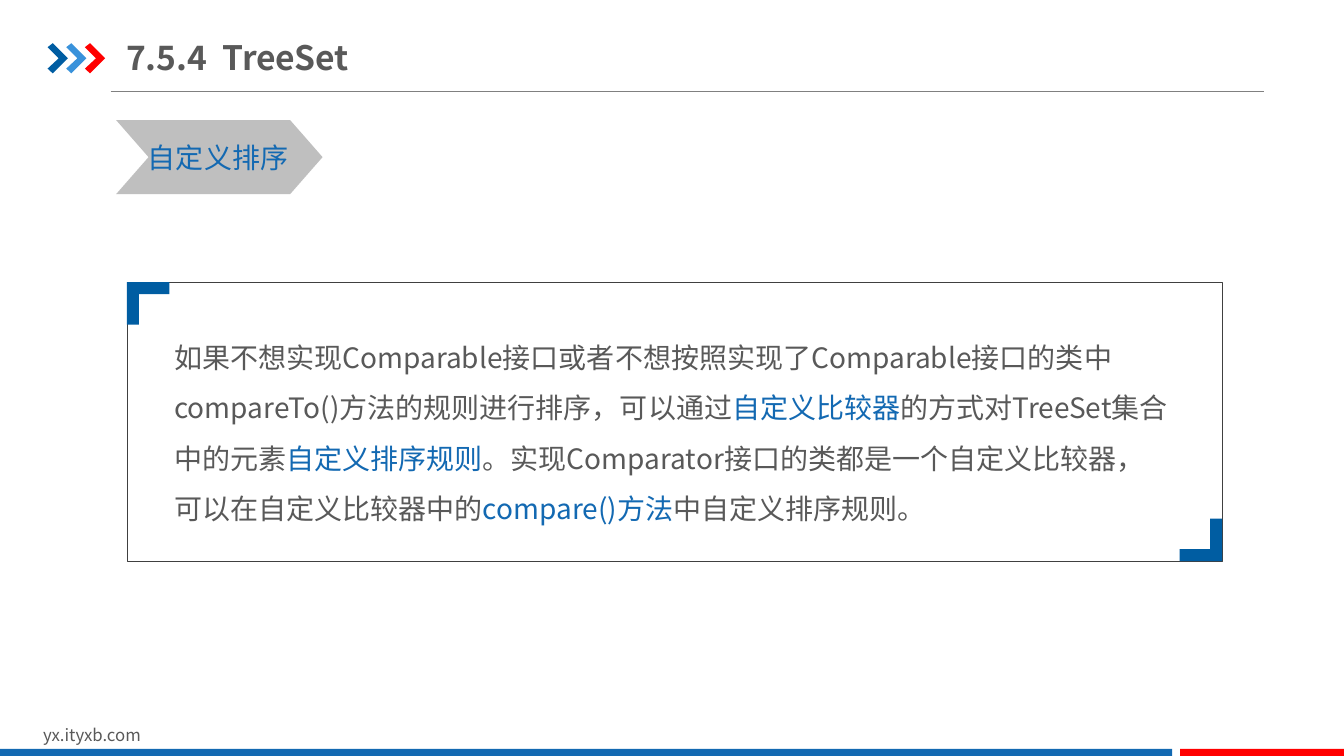
from lxml.etree import SubElement
from pptx import Presentation
from pptx.dml.color import RGBColor
from pptx.enum.shapes import MSO_CONNECTOR, MSO_SHAPE
from pptx.enum.text import MSO_ANCHOR, PP_ALIGN
from pptx.oxml.ns import qn
from pptx.util import Cm, Pt

DEEP_BLUE = RGBColor(0x00, 0x5D, 0xA2)
SKY_BLUE = RGBColor(0x39, 0x92, 0xDB)
BLUE = RGBColor(0x13, 0x69, 0xB2)
RED = RGBColor(0xFF, 0x00, 0x00)
TEXT_GRAY = RGBColor(0x59, 0x59, 0x59)
RULE_GRAY = RGBColor(0x80, 0x80, 0x80)
TAG_GRAY = RGBColor(0xBF, 0xBF, 0xBF)
FRAME_GRAY = RGBColor(0x40, 0x40, 0x40)


class SlideBuilder:
    FONT = "Noto Sans CJK SC"

    def __init__(self, slide):
        self.slide = slide
        self.shapes = slide.shapes

    def paint(self, shape, fill=None, line=None, width=0.25):
        shape.shadow.inherit = False
        if fill is None:
            shape.fill.background()
        else:
            shape.fill.solid()
            shape.fill.fore_color.rgb = fill
        if line is None:
            shape.line.fill.background()
        else:
            shape.line.color.rgb = line
            shape.line.width = Pt(width)
        return shape

    def shape(self, kind, left, top, width, height, **style):
        box = [Cm(v) for v in (left, top, width, height)]
        return self.paint(self.shapes.add_shape(kind, *box), **style)

    def outline(self, points, fill):
        corners = [(Cm(x), Cm(y)) for x, y in points]
        builder = self.shapes.build_freeform(*corners[0])
        builder.add_line_segments(corners[1:], close=True)
        return self.paint(builder.convert_to_shape(), fill)

    def rule(self, x1, y1, x2, y2, color, width):
        line = self.shapes.add_connector(
            MSO_CONNECTOR.STRAIGHT, Cm(x1), Cm(y1), Cm(x2), Cm(y2))
        line.line.color.rgb = color
        line.line.width = Pt(width)
        SubElement(line._element.spPr, qn("a:effectLst"))

    def fill_text(self, frame, parts, size, color=TEXT_GRAY, bold=False, spacing=1.0):
        """Fill a frame with one paragraph; parts are (text, colour or None)."""
        paragraph = frame.paragraphs[0]
        paragraph.alignment = PP_ALIGN.LEFT
        paragraph.line_spacing = spacing
        font = paragraph.font
        font.name, font.size, font.bold = self.FONT, Pt(size), bold
        font.color.rgb = color
        SubElement(font._element, qn("a:ea")).set("typeface", self.FONT)
        for text, accent in parts:
            run = paragraph.add_run()
            run.text = text
            if accent is not None:
                run.font.color.rgb = accent

    def text(self, left, top, width, height, parts, size, wrap=True, **style):
        box = self.shapes.add_textbox(Cm(left), Cm(top), Cm(width), Cm(height))
        box.text_frame.word_wrap = wrap
        self.fill_text(box.text_frame, parts, size, **style)

    def title(self, left, top, width, height, text, size):
        title = self.shapes.title
        title.left, title.top = Cm(left), Cm(top)
        title.width, title.height = Cm(width), Cm(height)
        frame = title.text_frame
        frame.margin_left = frame.margin_right = 0
        frame.vertical_anchor = MSO_ANCHOR.MIDDLE
        self.fill_text(frame, [(text, None)], size, bold=True)


def main():
    prs = Presentation()
    prs.slide_width, prs.slide_height = Cm(33.87), Cm(19.05)
    page = SlideBuilder(prs.slides.add_slide(prs.slide_layouts[5]))

    # Header: rule, three arrows and title
    page.rule(2.79, 2.31, 31.85, 2.31, RULE_GRAY, 0.75)
    arrow = [(0, 0.1), (0.13, 0), (0.51, 0.38), (0.13, 0.76), (0, 0.64), (0.28, 0.38)]
    for i, color in enumerate((DEEP_BLUE, SKY_BLUE, RED)):
        page.outline([(1.2 + 0.47 * i + x, 1.09 + y) for x, y in arrow], color)
    page.title(3.18, 0.74, 12.98, 1.4, "7.5.4  TreeSet", 24)

    # Footer: address and two bars
    page.text(0.84, 18.14, 8.08, 0.76, [("yx.ityxb.com", None)], 12)
    for left, width, color in ((0, 29.54, BLUE), (29.74, 4.13, RED)):
        page.shape(MSO_SHAPE.RECTANGLE, left, 18.87, width, 0.22, fill=color)

    # Section tag
    tag = page.shape(MSO_SHAPE.CHEVRON, 2.93, 3.03, 5.2, 1.86, fill=TAG_GRAY)
    tag.adjustments[0] = 0.438
    page.text(3.48, 3.42, 4.04, 1.12, [("自定义排序", None)], 20, wrap=False, color=BLUE)

    # Explanation
    page.text(4.14, 8.03, 25.6, 5.59, [
        ("如果不想实现Comparable接口或者不想按照实现了Comparable接口的类中"
         "compareTo()方法的规则进行排序，可以通过", None),
        ("自定义比较器", BLUE),
        ("的方式对TreeSet集合中的元素", None),
        ("自定义排序规则", BLUE),
        ("。实现Comparator接口的类都是一个自定义比较器，可以在自定义比较器中的", None),
        ("compare()方法", BLUE),
        ("中自定义排序规则。", None),
    ], 20, spacing=1.5)

    # Frame with two mirrored corner marks
    left, top, width, height = 3.2, 7.11, 27.6, 7.03
    frame = page.shape(MSO_SHAPE.ROUNDED_RECTANGLE, left, top, width, height, line=FRAME_GRAY)
    frame.adjustments[0] = 0
    arm, thick = 1.07, 0.3
    mark = [(0, 0), (arm, 0), (arm, thick), (thick, thick), (thick, arm), (0, arm)]
    for x0, y0, sign in ((left, top, 1), (left + width, top + height, -1)):
        page.outline([(x0 + sign * x, y0 + sign * y) for x, y in mark], DEEP_BLUE)

    prs.save("out.pptx")


if __name__ == "__main__":
    main()
